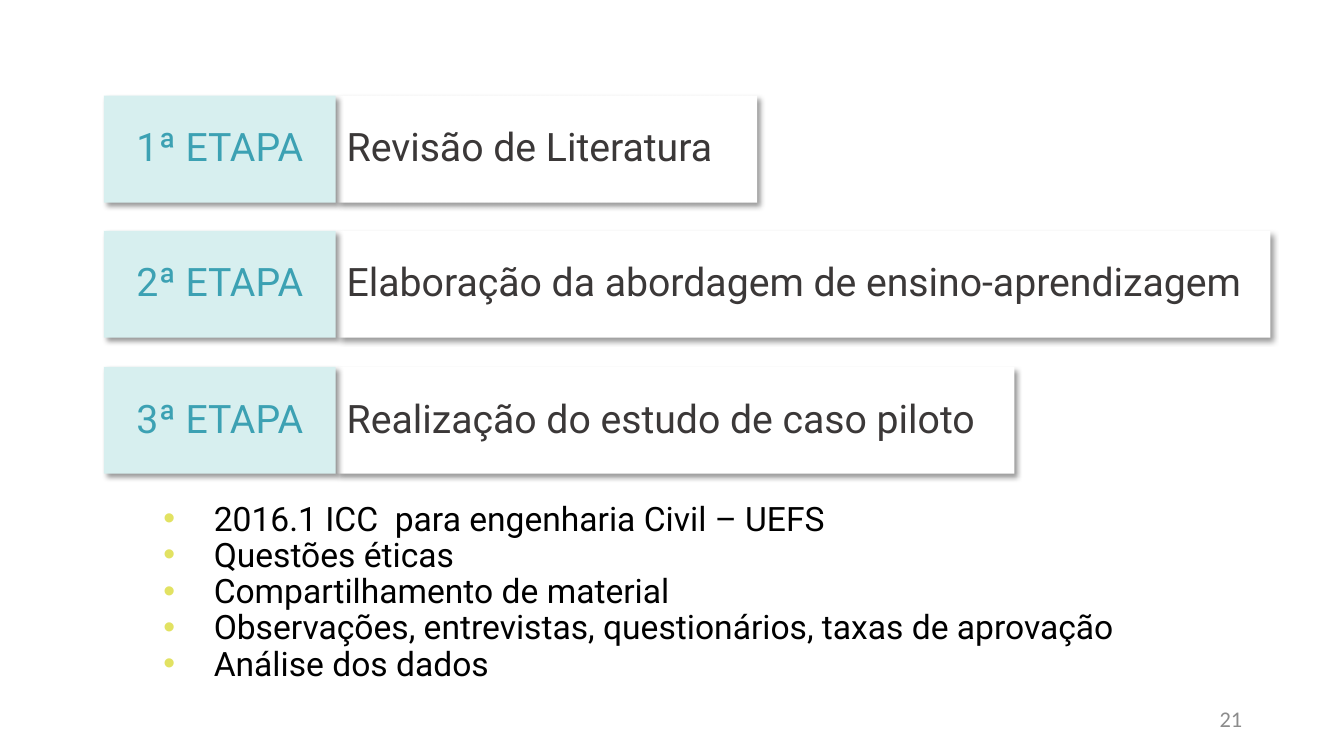
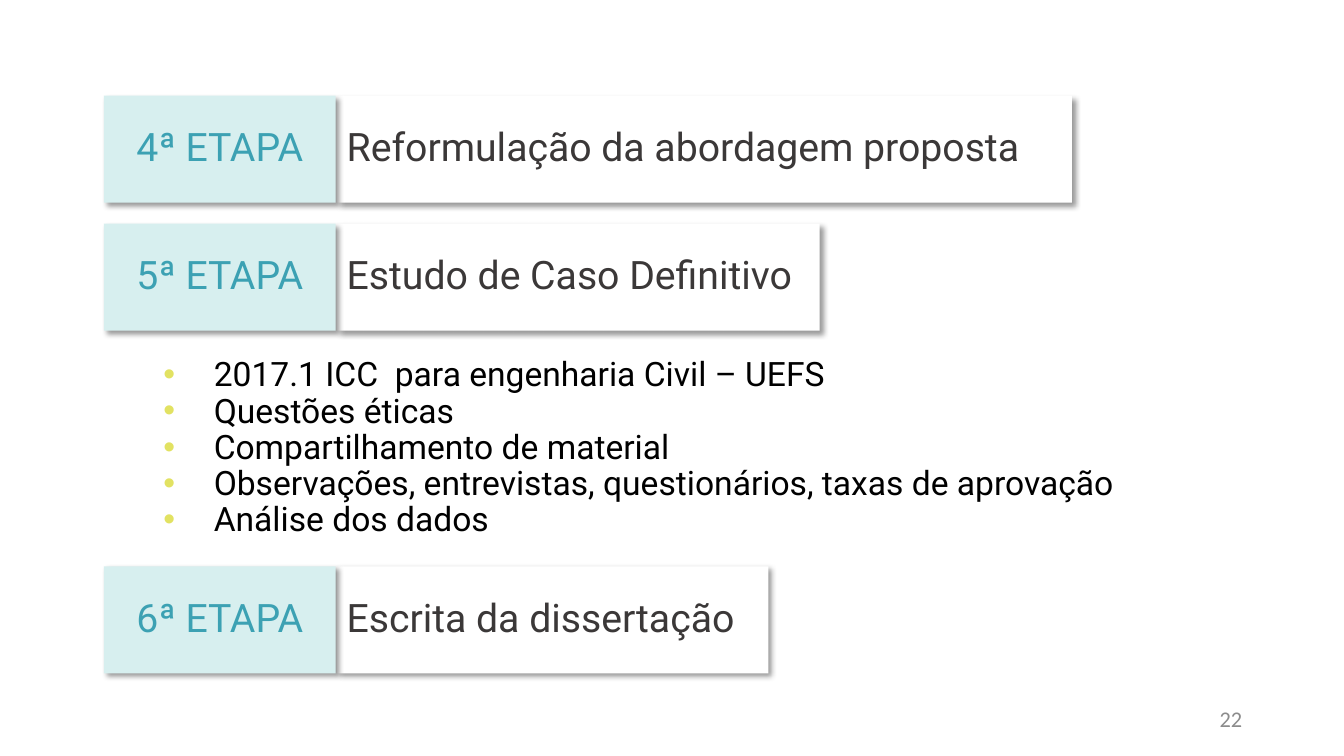
from lxml.etree import SubElement
from pptx import Presentation
from pptx.dml.color import RGBColor
from pptx.enum.shapes import MSO_SHAPE
from pptx.enum.text import MSO_ANCHOR, MSO_AUTO_SIZE, PP_ALIGN
from pptx.oxml import parse_xml
from pptx.oxml.ns import nsdecls, qn
from pptx.util import Inches, Pt

WHITE, PALE_TEAL, TEAL = "FFFFFF", "D7EFEF", "3CA1B3"
DARK, BLACK, GREY, LIME = "3B3838", "000000", "8C8C8C", "E2E262"
STAGE_LEFT, LABEL_WIDTH, STAGE_HEIGHT = 1.03, 2.3, 1.06
SHADOW = (
    f'<a:effectLst {nsdecls("a")}>'
    '<a:outerShdw blurRad="50800" dist="38100" dir="2700000" algn="tl" rotWithShape="0">'
    f'<a:srgbClr val="{BLACK}"><a:alpha val="40000"/></a:srgbClr>'
    '</a:outerShdw></a:effectLst>'
)


def write(para, text, size, color, font="Roboto", align=PP_ALIGN.LEFT):
    """Add one formatted run to a paragraph."""
    para.alignment = align
    para.line_spacing = 0.9
    para.space_before = Pt(0)
    span = para.add_run()
    span.text = text
    span.font.size = Pt(size)
    span.font.name = font
    span.font.color.rgb = RGBColor.from_string(color)


def add_stage(page, top, number, text, width):
    """Draw a numbered label and its description as one group."""
    group = page.shapes.add_group_shape()
    parts = [
        (STAGE_LEFT + LABEL_WIDTH + 0.01, width, WHITE, text, DARK, PP_ALIGN.LEFT),
        (STAGE_LEFT, LABEL_WIDTH, PALE_TEAL, f"{number}ª ETAPA", TEAL, PP_ALIGN.CENTER),
    ]
    for left, part_width, fill, words, color, align in parts:
        box = group.shapes.add_shape(MSO_SHAPE.RECTANGLE, Inches(left), Inches(top),
                                     Inches(part_width), Inches(STAGE_HEIGHT))
        box.fill.solid()
        box.fill.fore_color.rgb = RGBColor.from_string(fill)
        box.line.fill.background()
        box._element.spPr.append(parse_xml(SHADOW))
        box.text_frame.word_wrap = True
        box.text_frame.vertical_anchor = MSO_ANCHOR.MIDDLE
        write(box.text_frame.paragraphs[0], words, 28, color, align=align)


# Each page: number, stages (top, number, text, width), list top, study term
pages = [
    (21, [(0.95, 1, "Revisão de Literatura", 4.17),
          (2.29, 2, "Elaboração da abordagem de ensino-aprendizagem", 9.26),
          (3.64, 3, "Realização do estudo de caso piloto", 6.72)], 4.93, "2016.1"),
    (22, [(0.95, 4, "Reformulação da abordagem proposta", 7.29),
          (2.22, 5, "Estudo de Caso Definitivo", 4.79),
          (5.62, 6, "Escrita da dissertação", 4.28)], 3.5, "2017.1"),
]
study_steps = [
    "Questões éticas",
    "Compartilhamento de material",
    "Observações, entrevistas, questionários, taxas de aprovação",
    "Análise dos dados",
]

deck = Presentation()
deck.slide_width, deck.slide_height = Inches(13.33), Inches(7.5)

for page_number, stages, list_top, term in pages:
    page = deck.slides.add_slide(deck.slide_layouts[1])
    title = page.shapes.title._element
    title.getparent().remove(title)

    footer = page.shapes.add_textbox(Inches(9.42), Inches(6.95), Inches(3), Inches(0.4))
    footer.text_frame.word_wrap = True
    footer.text_frame.vertical_anchor = MSO_ANCHOR.MIDDLE
    write(footer.text_frame.paragraphs[0], str(page_number), 16, GREY, "Calibri", PP_ALIGN.RIGHT)

    for stage in stages:
        add_stage(page, *stage)

    body = page.placeholders[1]
    body.left, body.top = Inches(1.52), Inches(list_top)
    body.width, body.height = Inches(11.07), Inches(2.12)
    frame = body.text_frame
    frame.auto_size = MSO_AUTO_SIZE.NONE
    frame.vertical_anchor = MSO_ANCHOR.TOP
    steps = [f"{term} ICC  para engenharia Civil – UEFS"] + study_steps
    for index, step in enumerate(steps):
        para = frame.add_paragraph() if index else frame.paragraphs[0]
        write(para, step, 24, BLACK)
        props = para._p.get_or_add_pPr()
        props.set("marL", str(Inches(0.5)))
        props.set("indent", str(-Inches(0.5)))
        bullet_color = SubElement(props, qn("a:buClr"))
        SubElement(bullet_color, qn("a:srgbClr"), val=LIME)
        SubElement(props, qn("a:buFont"), typeface="Arial")
        SubElement(props, qn("a:buChar"), char="•")

deck.save("out.pptx")
